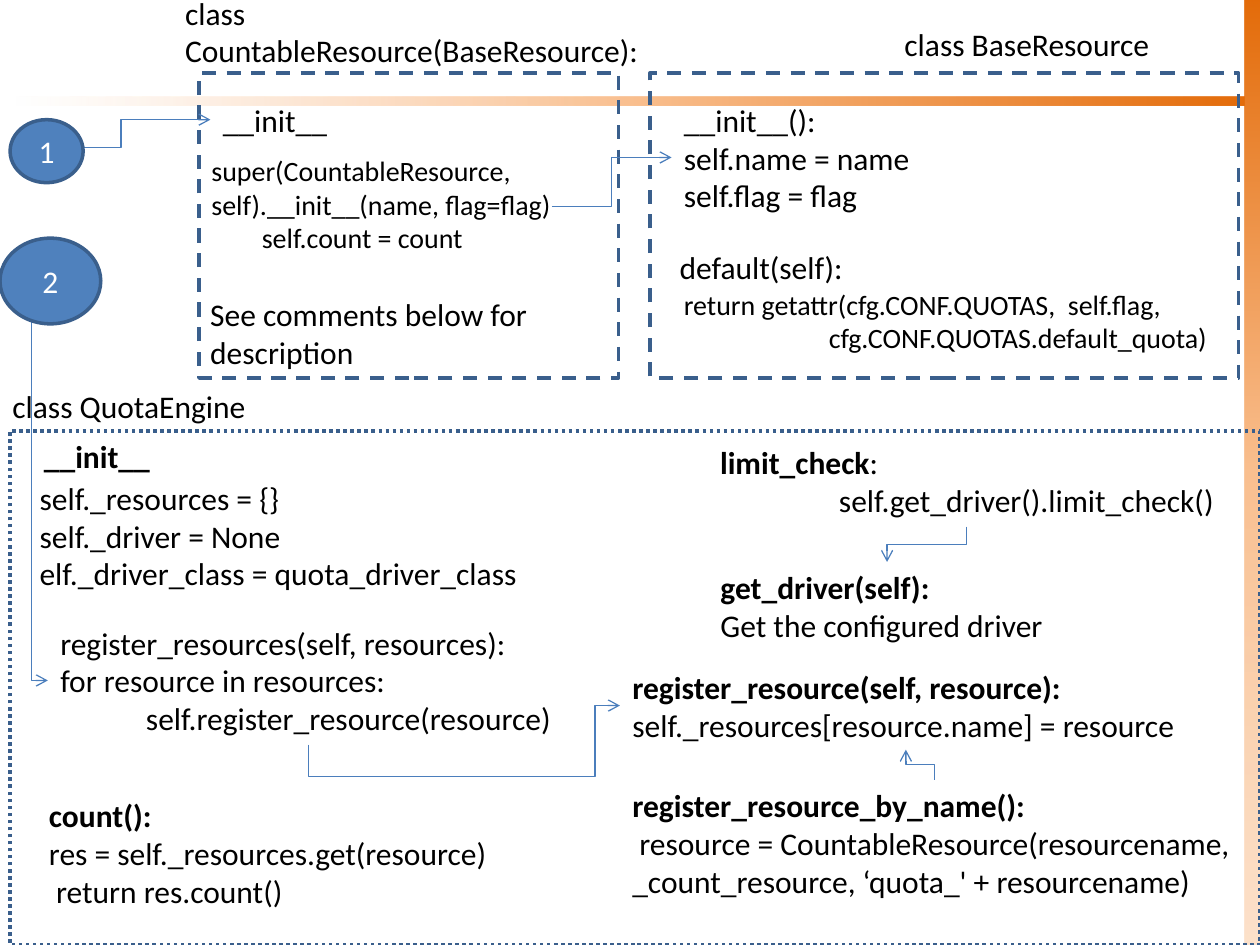
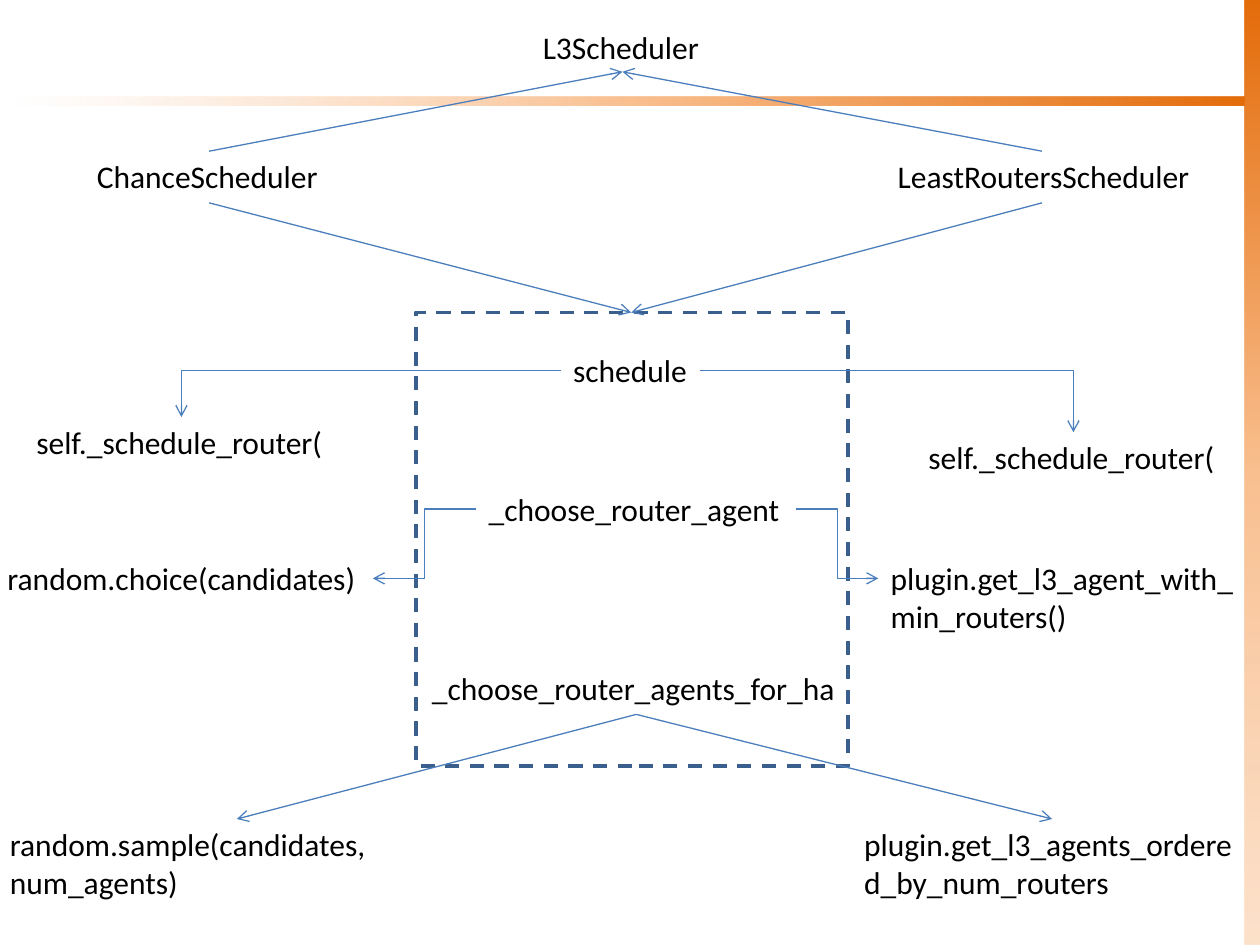
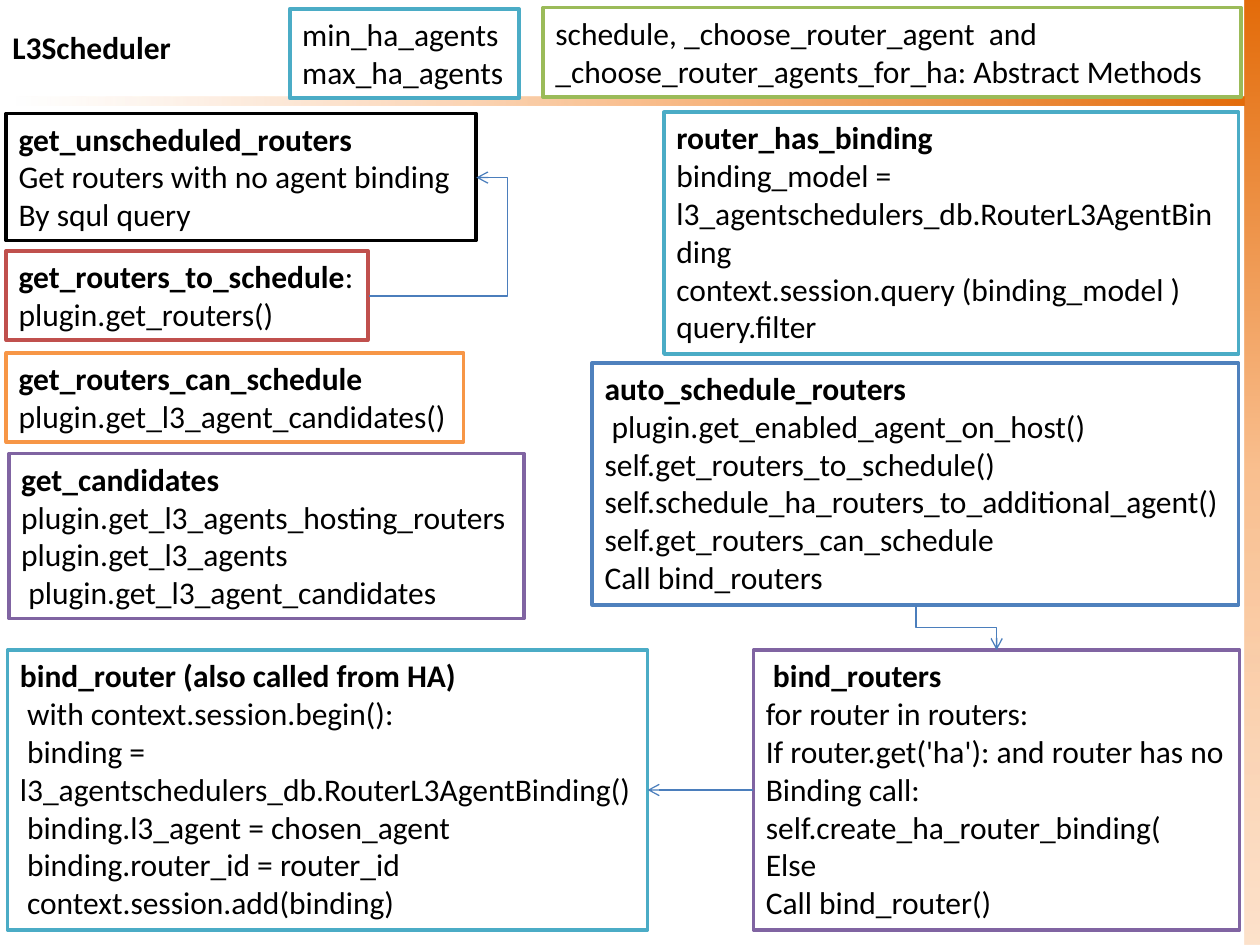
from lxml import etree
from pptx import Presentation
from pptx.dml.color import RGBColor
from pptx.enum.dml import MSO_LINE
from pptx.enum.shapes import MSO_CONNECTOR, MSO_SHAPE
from pptx.enum.text import MSO_ANCHOR, MSO_AUTO_SIZE, PP_ALIGN
from pptx.oxml import parse_xml
from pptx.oxml.ns import nsdecls, qn
from pptx.util import Inches, Pt

FONT = "Calibri"
COLORS = {
    "text": "000000", "white": "FFFFFF", "black": "000000",
    "blue": "4F81BD", "edge": "3A5F8C", "arrow": "4B7EBC",
    "aqua": "4BACC6", "green": "9BBB59", "red": "C0504D",
    "orange": "F79646", "purple": "8064A2",
    "band": "E46C0A", "band_mid": "FAC090", "band_end": "FCD5B5",
}


def rgb(name):
    return RGBColor.from_string(COLORS[name])


def set_line(s, color, width=2, dash=None):
    s.line.color.rgb = rgb(color)
    s.line.width = Pt(width)
    if dash:
        s.line.dash_style = dash


def add_preset(sl, shape, *box):
    s = sl.shapes.add_shape(shape, *map(Inches, box))
    s.shadow.inherit = False
    return s


def add_run(p, text, size, color="text", bold=False):
    r = p.add_run()
    r.text = text
    r.font.name, r.font.size, r.font.bold = FONT, Pt(size), bold
    r.font.color.rgb = rgb(color)


def add_text(sl, x, y, w, h, *lines, wrap=False, size=18, border=None):
    """One paragraph a line; *bold* parts; a line may be (indent, text)."""
    s = sl.shapes.add_textbox(*map(Inches, (x, y, w, h)))
    tf = s.text_frame
    tf.word_wrap = wrap
    tf.auto_size = MSO_AUTO_SIZE.SHAPE_TO_FIT_TEXT
    if border:
        s.fill.solid()
        s.fill.fore_color.rgb = rgb("white")
        set_line(s, border)
    for n, line in enumerate(lines):
        p = tf.add_paragraph() if n else tf.paragraphs[0]
        indent, text = line if isinstance(line, tuple) else (0, line)
        if indent:
            p._p.get_or_add_pPr().set("marL", str(Inches(indent)))
        for i, part in enumerate(text.split("*")):
            if part:
                add_run(p, part, size, bold=i % 2 == 1)


def add_frame(sl, x, y, w, h, dash=MSO_LINE.DASH):
    s = add_preset(sl, MSO_SHAPE.RECTANGLE, x, y, w, h)
    s.fill.background()
    set_line(s, "edge", dash=dash)


def add_step(sl, x, y, w, h, number):
    s = add_preset(sl, MSO_SHAPE.OVAL, x, y, w, h)
    s.fill.solid()
    s.fill.fore_color.rgb = rgb("blue")
    set_line(s, "edge")
    s.text_frame.vertical_anchor = MSO_ANCHOR.MIDDLE
    p = s.text_frame.paragraphs[0]
    p.alignment = PP_ALIGN.CENTER
    add_run(p, number, 18, "white")


def add_arrow(sl, start, end, bend=0, down=False, adj=()):
    """Straight when bend is 0, else bentConnector<bend>; down leaves vertically."""
    (x1, y1), (x2, y2) = start, end
    if down:  # laid out sideways about its centre, then turned by 90 degrees
        cx, cy, dx, dy = (x1 + x2) / 2, (y1 + y2) / 2, x2 - x1, y2 - y1
        x1, y1, x2, y2 = cx - dy / 2, cy + dx / 2, cx + dy / 2, cy - dx / 2
    kind = MSO_CONNECTOR.ELBOW if bend else MSO_CONNECTOR.STRAIGHT
    c = sl.shapes.add_connector(kind, *map(Inches, (x1, y1, x2, y2)))
    set_line(c, "arrow", 0.75)
    sp_pr = c.element.spPr
    if down:
        sp_pr.find(qn("a:xfrm")).set("rot", "5400000")
    if bend:
        geom = sp_pr.find(qn("a:prstGeom"))
        geom.set("prst", f"bentConnector{bend}")
        for n, value in enumerate(adj, 1):
            etree.SubElement(geom.find(qn("a:avLst")), qn("a:gd"),
                             name=f"adj{n}", fmla=f"val {round(value * 100000)}")
    etree.SubElement(sp_pr.find(qn("a:ln")), qn("a:tailEnd"), type="arrow")
    etree.SubElement(sp_pr, qn("a:effectLst"))


# Bands shared by all slides
def add_band(prs, sl, box, angle, end_alpha, shape_id, turn=0):
    s = add_preset(sl, MSO_SHAPE.RECTANGLE, *box)
    s.line.fill.background()
    s.rotation = turn
    stops = "".join(
        f'<a:gs pos="{pos * 1000}"><a:srgbClr val="{COLORS[color]}">'
        f'<a:alpha val="{alpha * 1000}"/></a:srgbClr></a:gs>'
        for pos, color, alpha in ((0, "band", 100), (50, "band_mid", 100),
                                  (100, "band_end", end_alpha)))
    grad = parse_xml(f'<a:gradFill {nsdecls("a")} rotWithShape="1"><a:gsLst>{stops}'
                     f'</a:gsLst><a:lin ang="{angle * 60000}" scaled="0"/></a:gradFill>')
    s.element.spPr.find(qn("a:prstGeom")).addnext(grad)
    s.element.nvSpPr.cNvPr.set("id", str(shape_id))
    prs.slide_master.shapes.element.insert(2, s.element)


def add_bands(prs, sl):
    add_band(prs, sl, (0.12, 0.77, 9.76, 0.07), 0, 0, 101, turn=180)
    add_band(prs, sl, (9.88, 0, 0.12, 7.5), 90, 69, 102)


def build_quota_engine(sl):
    # Resource classes
    add_frame(sl, 5.16, 0.58, 4.67, 2.42)
    add_frame(sl, 1.58, 0.58, 3.33, 2.42)
    add_text(sl, 7.08, 0.15, 2.16, 0.4, "class BaseResource")
    add_text(sl, 1.37, -0.1, 3.99, 0.71, "class CountableResource(BaseResource):", wrap=True)
    add_text(sl, 5.33, 0.75, 2.06, 1.01,
             "__init__():", "self.name = name", "self.flag = flag")
    add_text(sl, 5.33, 2.23, 4.5, 0.64, "return getattr(cfg.CONF.QUOTAS,  self.flag,",
             (1.15, "cfg.CONF.QUOTAS.default_quota)"), size=16)
    add_text(sl, 5.24, 1.92, 1.57, 0.4, " default(self):")
    add_text(sl, 1.67, 0.75, 1.04, 0.4, "__init__")
    add_text(sl, 1.58, 1.17, 3.26, 0.94,
             "super(CountableResource, self).__init__(name, flag=flag)",
             (0.4, "self.count = count"), wrap=True, size=16)
    add_arrow(sl, (4.38, 1.64), (5.33, 1.25), 3)
    add_arrow(sl, (0.25, 1.17), (1.67, 0.95), 3)
    add_step(sl, 0.08, 0.95, 0.58, 0.5, "1")
    add_text(sl, 1.57, 2.29, 2.81, 0.71, "See comments below for ", "description")

    # Quota engine
    add_frame(sl, 0.08, 3.42, 9.92, 4.08, MSO_LINE.ROUND_DOT)
    add_text(sl, 0, 3.02, 2.07, 0.4, "class QuotaEngine")
    add_text(sl, 0.16, 3.75, 5, 1.01, " self._resources = {}", " self._driver = None",
             " elf._driver_class = quota_driver_class", wrap=True)
    add_text(sl, 0.25, 3.42, 1.05, 0.4, "*__init__*")
    add_text(sl, 5.62, 4.46, 2.83, 0.71, "*get_driver(self):*", "Get the configured driver")
    add_text(sl, 4.92, 5.25, 4.55, 0.71, "*register_resource(self, resource):*",
             "self._resources[resource.name] = resource")
    add_arrow(sl, (0.25, 2.39), (0.38, 5.4), 2, down=True)
    add_step(sl, 0, 1.89, 0.8, 0.68, "2")
    add_text(sl, 4.92, 6.19, 5, 1.01, "*register_resource_by_name():*",
             " resource = CountableResource(resourcename, "
             "_count_resource, ‘quota_' + resourcename)", wrap=True)
    add_arrow(sl, (7.42, 6.19), (7.19, 5.95), 3, down=True)
    add_text(sl, 0.38, 4.9, 4.15, 1.01, "register_resources(self, resources):",
             "for resource in resources:", (0.68, "self.register_resource(resource)"))
    add_arrow(sl, (2.45, 5.91), (4.92, 5.6), 4, down=True, adj=(-0.815, 0.92))
    add_text(sl, 5.56, 3.47, 4.22, 0.71, " *limit_check*:",
             (1, "self.get_driver().limit_check()"))
    add_arrow(sl, (7.67, 4.18), (7.04, 4.46), 3, down=True)
    add_text(sl, 0.29, 6.27, 3.71, 1.01, "*count():*",
             "res = self._resources.get(resource)", " return res.count()")


def build_scheduler_tree(sl):
    # Classes
    add_text(sl, 4.21, 0.17, 1.46, 0.4, "L3Scheduler")
    add_text(sl, 0.67, 1.2, 1.98, 0.4, "ChanceScheduler")
    add_text(sl, 6.97, 1.2, 2.6, 0.4, " LeastRoutersScheduler")

    # Abstract methods
    add_text(sl, 4.45, 2.74, 1.12, 0.4, "schedule")
    add_text(sl, 3.78, 3.84, 2.54, 0.4, "_choose_router_agent")
    add_text(sl, 3.33, 5.26, 3.43, 0.4, "_choose_router_agents_for_ha")
    add_frame(sl, 3.3, 2.48, 3.43, 3.6)
    for x in (8.27, 1.66):
        add_arrow(sl, (x, 1.2), (4.94, 0.57))
        add_arrow(sl, (x, 1.61), (5.01, 2.48))

    # Implementations
    add_text(sl, 0.19, 3.31, 2.5, 0.4, "self._schedule_router(")
    add_text(sl, 7.27, 3.43, 2.5, 0.4, "self._schedule_router(")
    add_text(sl, -0.04, 4.39, 3, 0.4, "random.choice(candidates)")
    add_text(sl, 6.97, 4.09, 3.09, 1.01, " plugin.get_l3_agent_with_min_routers()", wrap=True)
    add_text(sl, 6.76, 6.5, 3.17, 0.71, "plugin.get_l3_agents_ordered_by_num_routers", wrap=True)
    add_text(sl, -0.02, 6.5, 3.8, 0.71, "random.sample(candidates, num_agents)", wrap=True)
    for x in (1.88, 8.35):
        add_arrow(sl, (5.05, 5.67), (x, 6.5))
    add_arrow(sl, (6.32, 4.04), (6.97, 4.59), 3)
    add_arrow(sl, (3.78, 4.04), (2.96, 4.59), 3)
    add_arrow(sl, (5.56, 2.94), (8.52, 3.43), 2)
    add_arrow(sl, (4.45, 2.94), (1.44, 3.31), 2)


def build_scheduler_methods(sl):
    # Header row
    add_text(sl, 0, 0.17, 1.46, 0.4, "*L3Scheduler*")
    add_text(sl, 2.3, 0.07, 1.82, 0.71, "min_ha_agents", "max_ha_agents", border="aqua")
    add_text(sl, 4.31, 0.06, 5.54, 0.71,
             "schedule, _choose_router_agent  and  "
             "_choose_router_agents_for_ha: Abstract Methods", wrap=True, border="green")

    # Router and candidate queries
    add_text(sl, 0.05, 0.9, 3.73, 1.01, "*get_unscheduled_routers*",
             "Get routers with no agent binding ", "By squl query", border="black")
    add_text(sl, 0.05, 1.99, 2.87, 0.71, "*get_routers_to_schedule*:",
             "plugin.get_routers()", border="red")
    add_text(sl, 0.05, 2.8, 3.63, 0.71, "*get_routers_can_schedule*",
             "plugin.get_l3_agent_candidates()", border="orange")
    add_text(sl, 0.07, 3.6, 4.09, 1.31, "*get_candidates*",
             "plugin.get_l3_agents_hosting_routers", "plugin.get_l3_agents",
             " plugin.get_l3_agent_candidates", border="purple")

    # Binding
    add_text(sl, 0.06, 5.16, 5.08, 2.22, "*bind_router (also called from HA)*",
             " with context.session.begin():",
             " binding = l3_agentschedulers_db.RouterL3AgentBinding()",
             " binding.l3_agent = chosen_agent", " binding.router_id = router_id",
             " context.session.add(binding)", wrap=True, border="aqua")
    add_text(sl, 5.98, 5.16, 3.86, 2.22, " *bind_routers*", "for router in routers:",
             "If router.get('ha'): and router has no Binding call:  "
             "self.create_ha_router_binding(", "Else", "Call bind_router()",
             wrap=True, border="purple")
    add_text(sl, 4.7, 2.88, 5.13, 1.92, "*auto_schedule_routers*",
             " plugin.get_enabled_agent_on_host()", "self.get_routers_to_schedule()",
             "self.schedule_ha_routers_to_additional_agent()",
             "self.get_routers_can_schedule", "Call bind_routers", border="blue")
    add_text(sl, 5.27, 0.89, 4.56, 1.92, "*router_has_binding*",
             "binding_model = l3_agentschedulers_db.RouterL3AgentBinding",
             "context.session.query (binding_model )", "query.filter",
             wrap=True, border="aqua")

    # Calls
    add_arrow(sl, (7.27, 4.8), (7.91, 5.16), 3, down=True)
    add_arrow(sl, (5.98, 6.27), (5.14, 6.27), 3)
    add_arrow(sl, (2.93, 2.35), (3.78, 1.41), 3, adj=(1.295,))


def main():
    prs = Presentation()
    prs.slide_width, prs.slide_height = Inches(10), Inches(7.5)
    blank = prs.slide_layouts[6]
    builders = (build_quota_engine, build_scheduler_tree, build_scheduler_methods)
    for n, build in enumerate(builders):
        sl = prs.slides.add_slide(blank)
        if n == 0:
            add_bands(prs, sl)
        build(sl)
    prs.save("out.pptx")


main()
